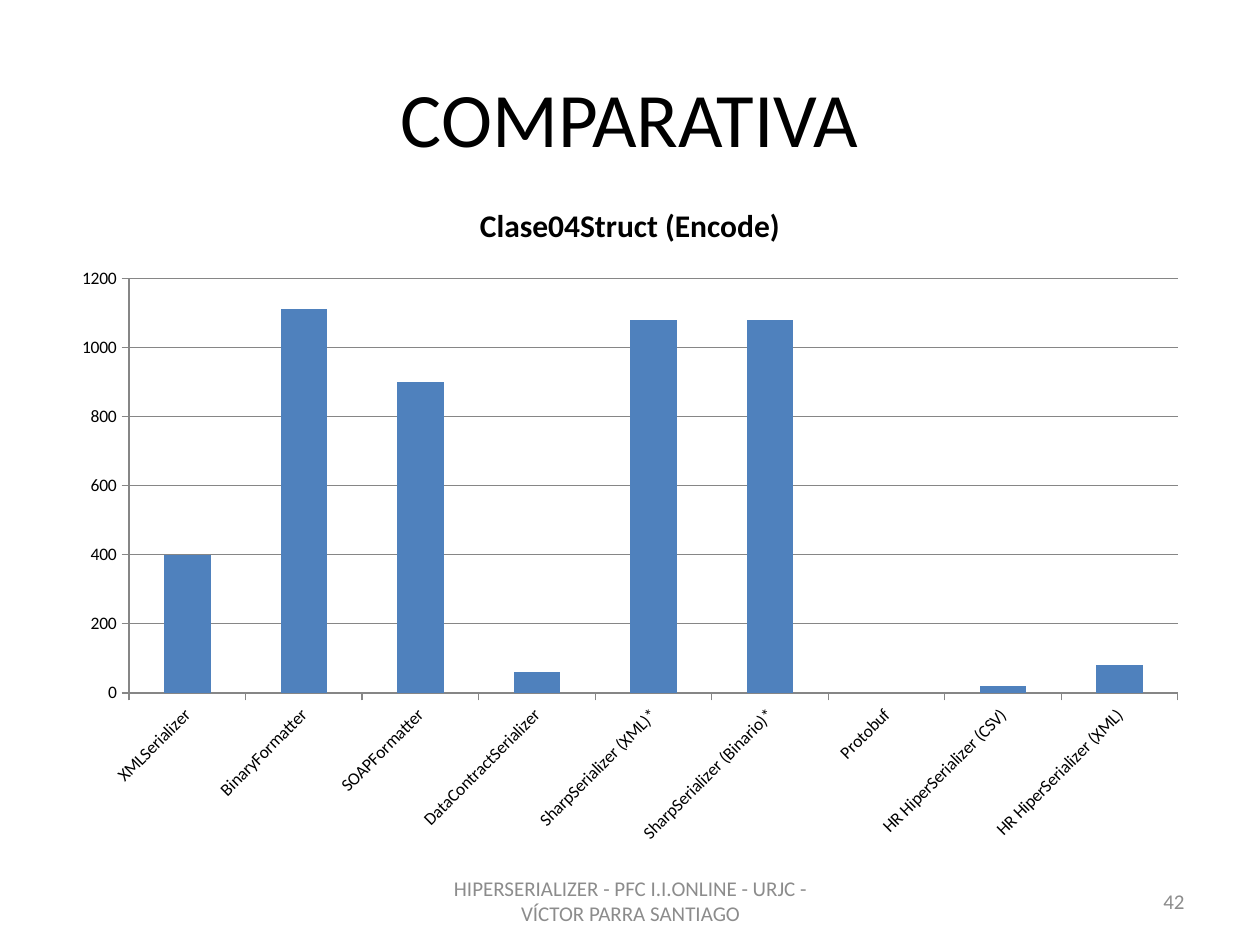
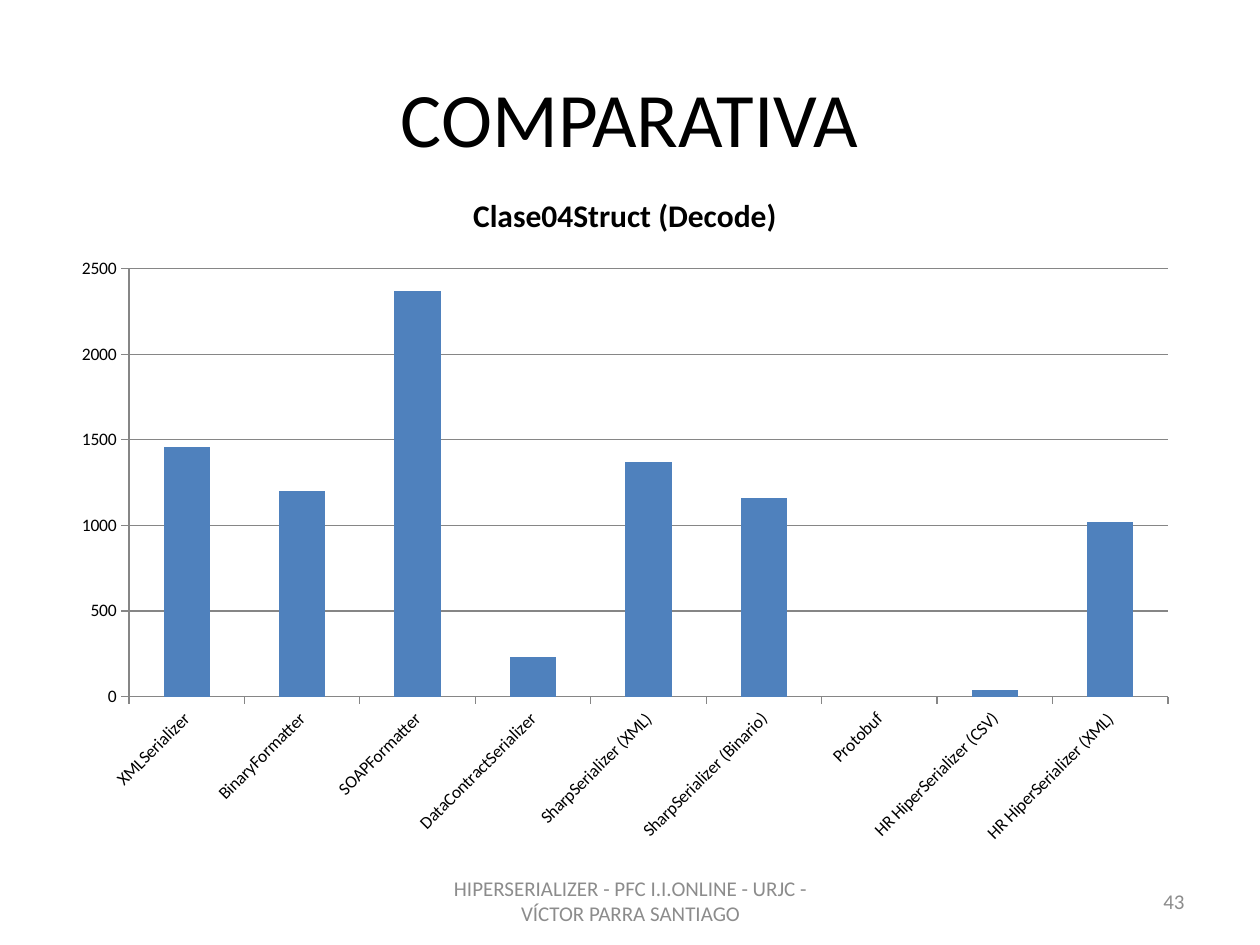
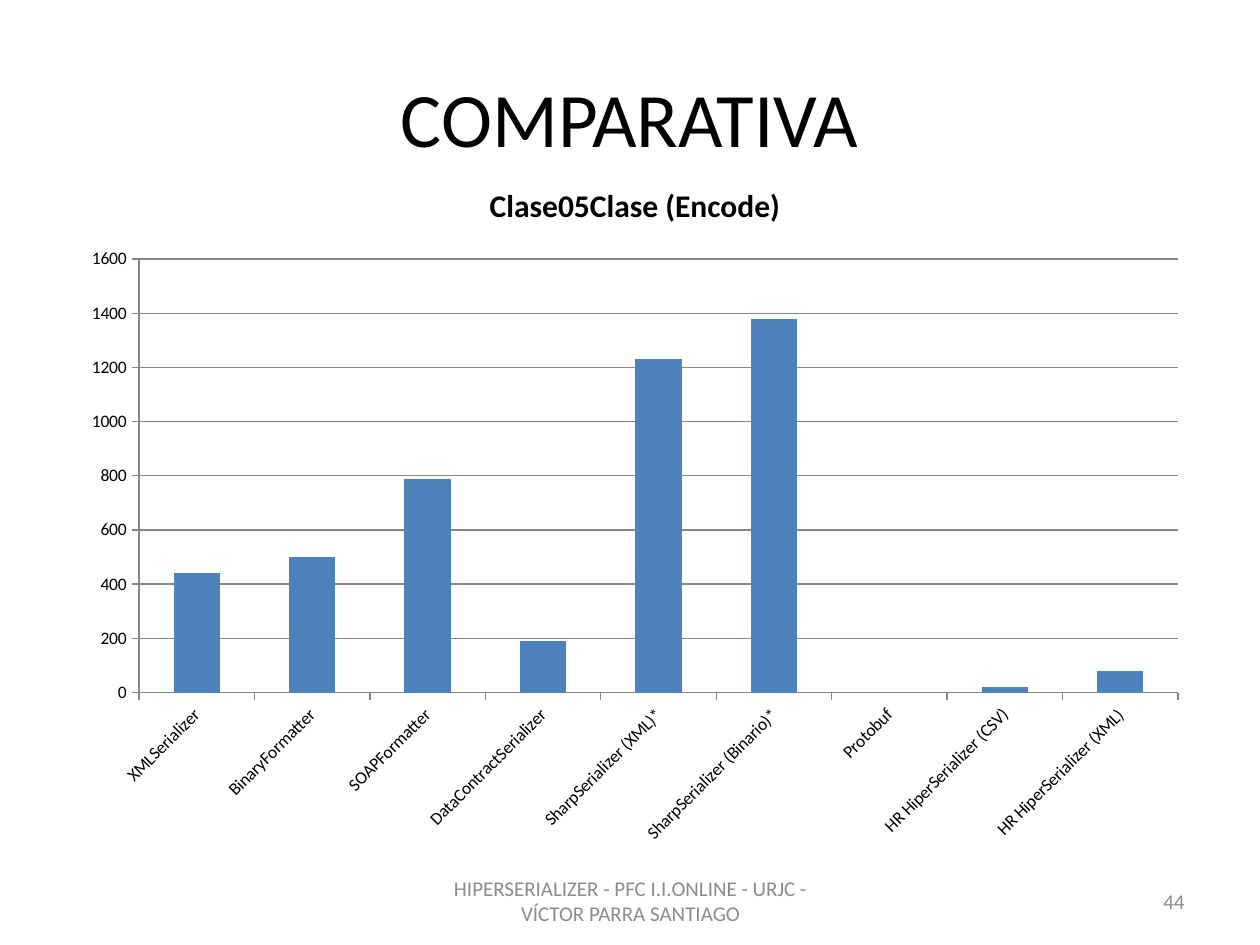
from pptx import Presentation
from pptx.chart.data import CategoryChartData
from pptx.dml.color import RGBColor
from pptx.enum import chart as ch, text
from pptx.util import Inches, Pt

FONT = "Calibri"
BLACK = RGBColor(0x00, 0x00, 0x00)
FOOTER_GRAY = RGBColor(0x8C, 0x8C, 0x8C)
LINE_GRAY = RGBColor(0x86, 0x86, 0x86)
BAR_BLUE = RGBColor(0x4F, 0x81, 0xBD)

TITLE = "COMPARATIVA"
FOOTER = "HIPERSERIALIZER - PFC I.I.ONLINE - URJC - VÍCTOR PARRA SANTIAGO"
FIRST_NUMBER = 42

# Chart title, mark after the SharpSerializer names, chart box, values
COMPARISONS = [
    ("Clase04Struct (Encode)", "*", (0.47, 1.41, 9.06, 5.39),
     (400, 1110, 900, 60, 1080, 1080, None, 20, 80)),
    ("Clase04Struct (Decode)", "", (0.47, 1.33, 8.98, 5.47),
     (1460, 1200, 2370, 230, 1370, 1160, None, 40, 1020)),
    ("Clase05Clase (Encode)", "*", (0.55, 1.25, 8.98, 5.55),
     (440, 500, 790, 190, 1230, 1380, None, 20, 80)),
]


def add_text(slide, box, content, size, color, align):
    tf = slide.shapes.add_textbox(*map(Inches, box)).text_frame
    tf.word_wrap = True
    tf.vertical_anchor = text.MSO_ANCHOR.MIDDLE
    p = tf.paragraphs[0]
    p.text = content
    p.alignment = align
    p.font.name, p.font.size = FONT, Pt(size)
    p.font.color.rgb = color


def set_line(fmt):
    fmt.line.color.rgb = LINE_GRAY
    fmt.line.width = Pt(0.75)


prs = Presentation()
prs.slide_width, prs.slide_height = Inches(10), Inches(7.5)

for number, (name, mark, box, values) in enumerate(COMPARISONS, FIRST_NUMBER):
    s = prs.slides.add_slide(prs.slide_layouts[6])
    add_text(s, (0.5, 0.3, 9, 1.25), TITLE, 44, BLACK, text.PP_ALIGN.CENTER)
    add_text(s, (3.42, 6.95, 3.17, 0.4), FOOTER, 12, FOOTER_GRAY, text.PP_ALIGN.CENTER)
    add_text(s, (7.17, 6.95, 2.33, 0.4), str(number), 12, FOOTER_GRAY, text.PP_ALIGN.RIGHT)

    data = CategoryChartData()
    data.categories = [
        "XMLSerializer", "BinaryFormatter", "SOAPFormatter", "DataContractSerializer",
        f"SharpSerializer (XML){mark}", f"SharpSerializer (Binario){mark}", "Protobuf",
        "HR HiperSerializer (CSV)", "HR HiperSerializer (XML)",
    ]
    data.add_series(name, values)
    chart = s.shapes.add_chart(
        ch.XL_CHART_TYPE.COLUMN_CLUSTERED, *map(Inches, box), data).chart
    chart.font.name, chart.font.size = FONT, Pt(10)
    chart.font.color.rgb = BLACK
    chart.has_legend = False

    chart.has_title = True
    chart.chart_title.include_in_layout = False
    p = chart.chart_title.text_frame.paragraphs[0]
    p.text = name
    font = p.runs[0].font
    font.name, font.size, font.bold = FONT, Pt(18), True
    font.color.rgb = BLACK

    plot = chart.plots[0]
    plot.gap_width = 150
    plot.vary_by_categories = False
    fill = plot.series[0].format.fill
    fill.solid()
    fill.fore_color.rgb = BAR_BLUE

    for axis in (chart.category_axis, chart.value_axis):
        axis.major_tick_mark = ch.XL_TICK_MARK.OUTSIDE
        axis.minor_tick_mark = ch.XL_TICK_MARK.NONE
        axis.tick_labels.font.size = Pt(10)
        set_line(axis.format)
    chart.value_axis.has_major_gridlines = True
    set_line(chart.value_axis.major_gridlines.format)

    # Slant the category names by 45 degrees (60000 units each)
    body = chart.category_axis._element.txPr.bodyPr
    body.set("rot", str(-45 * 60000))
    body.set("vert", "horz")

prs.save("out.pptx")
